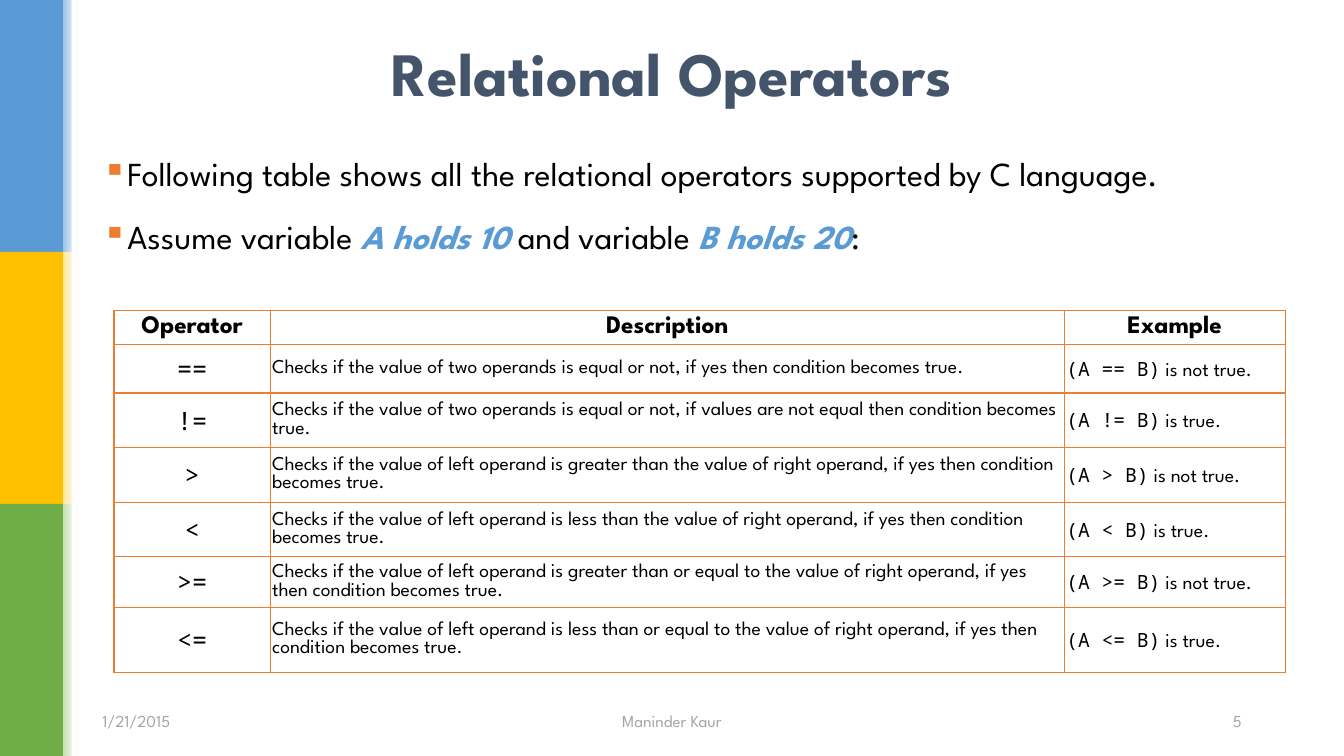
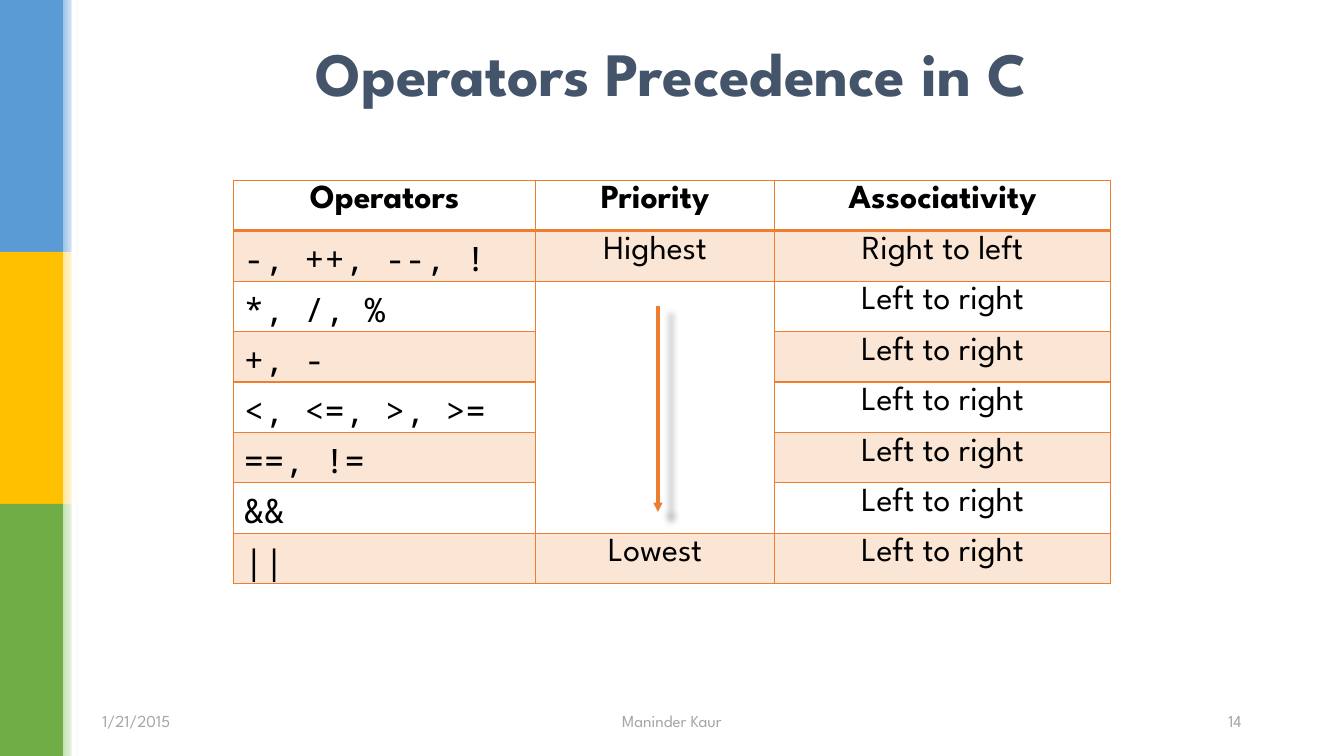
from dataclasses import dataclass
from typing import Sequence

from lxml import etree
from pptx import Presentation
from pptx.dml.color import RGBColor
from pptx.enum.shapes import MSO_CONNECTOR as Connector, MSO_SHAPE as Preset
from pptx.enum.text import MSO_ANCHOR as Anchor, PP_ALIGN as Align
from pptx.oxml import parse_xml
from pptx.oxml.ns import nsdecls, qn
from pptx.util import Pt


@dataclass(frozen=True)
class Theme:
    """Colours, fonts and type sizes of the deck."""
    black: str = "000000"
    white: str = "FFFFFF"
    slate: str = "44546A"
    grey: str = "A5A5A5"
    blue: str = "5B9BD5"
    orange: str = "ED7D31"
    face: str = "League Spartan"
    mono: str = "Noto Sans Mono"
    title: float = 44
    body: float = 24
    heading: float = 18
    detail: float = 14
    footer: float = 12


THEME = Theme()


@dataclass(frozen=True)
class Box:
    """Place and size in points."""
    left: float
    top: float
    width: float
    height: float


@dataclass(frozen=True)
class Band:
    """One block of the side stripe and the tint of its soft edge."""
    color: str
    tint: str


@dataclass(frozen=True)
class Span:
    """Text in one style."""
    text: str
    size: float = THEME.body
    color: str = THEME.black
    face: str = THEME.face
    bold: bool = False
    italic: bool = False


@dataclass(frozen=True)
class Cell:
    """Content and look of one table cell."""
    spans: Sequence[Span] = ()
    align: Align = Align.LEFT
    tinted: bool = False


@dataclass(frozen=True)
class Grid:
    """Geometry and borders of one table."""
    left: float
    top: float
    columns: Sequence[float]
    rows: Sequence[float]
    inset_x: float
    inset_y: float
    anchor: Anchor
    header_line: float = 1


@dataclass(frozen=True)
class Comparison:
    """One relational operator with its meaning and result."""
    operator: str
    check: str
    verdict: str


SLIDE_WIDTH, SLIDE_HEIGHT = 960, 540
BANDS = [Band("5B9BD5", "9DC3E6"), Band("FFC000", "FFE699"), Band("70AD47", "C5E0B4")]
BAND_WIDTH, EDGE_WIDTH = 45, 11.5
TITLE_BOX = Box(66, 12.25, 828, 78.5)
BODY_BOX = Box(66, 108.75, 828, 378)
FOOTER_TOP, FOOTER_HEIGHT = 500.5, 28.75

COMPARISONS = [
    Comparison("==", "two operands is equal or not, if yes", "is not true."),
    Comparison("!=", "two operands is equal or not, if values are not equal", "is true."),
    Comparison(">", "left operand is greater than the value of right operand, if yes", "is not true."),
    Comparison("<", "left operand is less than the value of right operand, if yes", "is true."),
    Comparison(">=", "left operand is greater than or equal to the value of right operand, if yes",
               "is not true."),
    Comparison("<=", "left operand is less than or equal to the value of right operand, if yes",
               "is true."),
]
PRECEDENCE = ["-, ++, --, !", "*, /, %", "+, -", "<, <=, >, >=", "==, !=", "&&", "||"]


def place(box: Box) -> tuple:
    """Turn a box into lengths for python-pptx."""
    return Pt(box.left), Pt(box.top), Pt(box.width), Pt(box.height)


def rgb(color: str) -> RGBColor:
    """Read a hex colour."""
    return RGBColor.from_string(color)


def write(para, spans: Sequence[Span], align: Align = Align.LEFT) -> None:
    """Fill a paragraph run by run."""
    para.alignment = align
    for span in spans:
        run = para.add_run()
        run.text = span.text
        font = run.font
        font.name, font.size = span.face, Pt(span.size)
        font.bold, font.italic = span.bold, span.italic
        font.color.rgb = rgb(span.color)


def add_text(page, box: Box, anchor: Anchor = Anchor.TOP):
    """Add an empty wrapping text box and return its frame."""
    frame = page.shapes.add_textbox(*place(box)).text_frame
    frame.word_wrap = True
    frame.vertical_anchor = anchor
    return frame


def add_line_of_text(page, box: Box, span: Span, align: Align) -> None:
    """Add a vertically centred text box with a single paragraph."""
    write(add_text(page, box, Anchor.MIDDLE).paragraphs[0], [span], align)


def add_block(page, box: Box, color: str, fade_to: str = "") -> None:
    """Add a borderless rectangle, plain or fading to the right."""
    block = page.shapes.add_shape(Preset.RECTANGLE, *place(box))
    block.shadow.inherit = False
    block.line.fill.background()
    if fade_to:
        block.fill.gradient()
        block.fill.gradient_angle = 0
        for stop, shade in zip(block.fill.gradient_stops, (color, fade_to)):
            stop.color.rgb = rgb(shade)
    else:
        block.fill.solid()
        block.fill.fore_color.rgb = rgb(color)


def add_page(deck, title: str, number: int):
    """Add a blank page with side stripe, title and footers."""
    page = deck.slides.add_slide(deck.slide_layouts[6])
    height = SLIDE_HEIGHT / len(BANDS)
    for index, band in enumerate(BANDS):
        top = index * height
        add_block(page, Box(0, top, BAND_WIDTH, height), band.color)
        add_block(page, Box(BAND_WIDTH, top, EDGE_WIDTH, height), band.tint, THEME.white)
    add_block(page, Box(51.25, 0, 3.5, SLIDE_HEIGHT), THEME.white)
    add_line_of_text(page, TITLE_BOX, Span(title, THEME.title, THEME.slate, bold=True), Align.CENTER)
    footers = [("1/21/2015", 66, 258, Align.LEFT),
               ("Maninder Kaur", 366, 228, Align.CENTER),
               (str(number), 636, 258, Align.RIGHT)]
    for text, left, width, align in footers:
        add_line_of_text(page, Box(left, FOOTER_TOP, width, FOOTER_HEIGHT),
                         Span(text, THEME.footer, THEME.grey), align)
    return page


def add_bullet(para, spans: Sequence[Span]) -> None:
    """Write a paragraph with a square orange bullet."""
    write(para, spans)
    para.line_spacing = 0.9
    props = para._p.get_or_add_pPr()
    props.set("marL", str(Pt(18)))
    props.set("indent", str(Pt(-18)))
    props.append(parse_xml(f'<a:spcBef {nsdecls("a")}><a:spcPct val="30000"/></a:spcBef>'))
    para.space_after = Pt(12)
    props.append(parse_xml(
        f'<a:buClr {nsdecls("a")}><a:srgbClr val="{THEME.orange}"/></a:buClr>'))
    props.append(parse_xml(f'<a:buChar {nsdecls("a")} char="▪"/>'))


def set_borders(cell, top: float, bottom: float) -> None:
    """Draw the four orange borders of a table cell."""
    props = cell._tc.get_or_add_tcPr()
    for side, width in (("L", 1), ("R", 1), ("T", top), ("B", bottom)):
        props.append(parse_xml(
            f'<a:ln{side} {nsdecls("a")} w="{Pt(width)}"><a:solidFill>'
            f'<a:srgbClr val="{THEME.orange}"/></a:solidFill></a:ln{side}>'))


def set_fill(cell, tinted: bool) -> None:
    """Fill a table cell with white or with see-through orange."""
    cell.fill.solid()
    cell.fill.fore_color.rgb = rgb(THEME.orange if tinted else THEME.white)
    if tinted:
        color = cell._tc.tcPr.find(f'{qn("a:solidFill")}/{qn("a:srgbClr")}')
        etree.SubElement(color, qn("a:alpha"), val="20000")


def add_grid(page, grid: Grid, content: Sequence[Sequence[Cell]]):
    """Add a table and return it."""
    box = Box(grid.left, grid.top, sum(grid.columns), sum(grid.rows))
    table = page.shapes.add_table(len(grid.rows), len(grid.columns), *place(box)).table
    table.first_row = table.horz_banding = False
    for column, width in zip(table.columns, grid.columns):
        column.width = Pt(width)
    for row, height in zip(table.rows, grid.rows):
        row.height = Pt(height)
    for row_index, row_cells in enumerate(content):
        for column_index, item in enumerate(row_cells):
            cell = table.cell(row_index, column_index)
            cell.margin_left = cell.margin_right = Pt(grid.inset_x)
            cell.margin_top = cell.margin_bottom = Pt(grid.inset_y)
            cell.vertical_anchor = grid.anchor
            set_borders(cell, grid.header_line if row_index == 1 else 1,
                        grid.header_line if row_index == 0 else 1)
            set_fill(cell, item.tinted)
            write(cell.text_frame.paragraphs[0], item.spans, item.align)
    return table


def header(names: Sequence[str], size: float) -> list[Cell]:
    """Build a row of bold centred column names."""
    return [Cell([Span(name, size, bold=True)], Align.CENTER) for name in names]


def comparison_row(item: Comparison) -> list[Cell]:
    """Build the table row of one relational operator."""
    size = THEME.detail
    return [
        Cell([Span(item.operator, THEME.heading, face=THEME.mono)], Align.CENTER),
        Cell([Span(f"Checks if the value of {item.check} then condition becomes true.", size)]),
        Cell([Span(f"(A {item.operator} B)", size, face=THEME.mono),
              Span(f" {item.verdict}", size)]),
    ]


def precedence_row(index: int, operators: str) -> list[Cell]:
    """Build the table row of one precedence level."""
    tinted = index % 2 == 0
    priority = {0: "Highest", len(PRECEDENCE) - 1: "Lowest"}.get(index)
    order = "Left to right" if index else "Right to left"
    return [
        Cell([Span(operators, face=THEME.mono)], tinted=tinted),
        Cell([Span(priority)] if priority else [], Align.CENTER, tinted and bool(priority)),
        Cell([Span(order)], Align.CENTER, tinted),
    ]


def add_down_arrow(page, center: float, top: float, bottom: float) -> None:
    """Add a vertical orange arrow with a soft shadow."""
    arrow = page.shapes.add_connector(Connector.STRAIGHT, Pt(center), Pt(top), Pt(center), Pt(bottom))
    arrow.line.color.rgb = rgb(THEME.orange)
    arrow.line.width = Pt(2.25)
    etree.SubElement(arrow.line._get_or_add_ln(), qn("a:tailEnd"), type="triangle")
    arrow._element.spPr.append(parse_xml(
        f'<a:effectLst {nsdecls("a")}><a:outerShdw blurRad="{Pt(5)}" dist="{Pt(1)}" dir="5400000" '
        f'sx="102000" sy="102000" algn="ctr" rotWithShape="0"><a:srgbClr val="{THEME.black}">'
        '<a:alpha val="32000"/></a:srgbClr></a:outerShdw></a:effectLst>'))


def build_relational(deck) -> None:
    """Build the page on relational operators."""
    page = add_page(deck, "Relational Operators", 5)
    frame = add_text(page, BODY_BOX)
    add_bullet(frame.paragraphs[0], [
        Span("Following table shows all the relational operators supported by C language.")])
    add_bullet(frame.add_paragraph(), [
        Span("Assume variable\u00a0"),
        Span("A\u00a0holds 10", color=THEME.blue, bold=True, italic=True),
        Span(" and variable\u00a0"),
        Span("B\u00a0holds 20", color=THEME.blue, bold=True, italic=True),
        Span(":")])
    grid = Grid(81.5, 221.5, [111.5, 567.25, 157.75], [24.5, 34.75, 39, 39, 39, 35.25, 46.25],
                1.44, 1.44, Anchor.MIDDLE)
    rows = [comparison_row(item) for item in COMPARISONS]
    add_grid(page, grid, [header(["Operator", "Description", "Example"], THEME.heading), *rows])


def build_precedence(deck) -> None:
    """Build the page on operator precedence."""
    page = add_page(deck, "Operators Precedence in C", 14)
    grid = Grid(167, 128.75, [215.5, 171, 239.75], [32.4] * (len(PRECEDENCE) + 1),
                7.2, 3.6, Anchor.TOP, header_line=2)
    rows = [precedence_row(index, operators) for index, operators in enumerate(PRECEDENCE)]
    table = add_grid(page, grid, [header(["Operators", "Priority", "Associativity"], THEME.body), *rows])
    table.cell(2, 1).merge(table.cell(len(PRECEDENCE) - 1, 1))
    add_down_arrow(page, 470, 218.5, 365.75)


deck = Presentation()
deck.slide_width, deck.slide_height = Pt(SLIDE_WIDTH), Pt(SLIDE_HEIGHT)
build_relational(deck)
build_precedence(deck)
deck.save("out.pptx")
